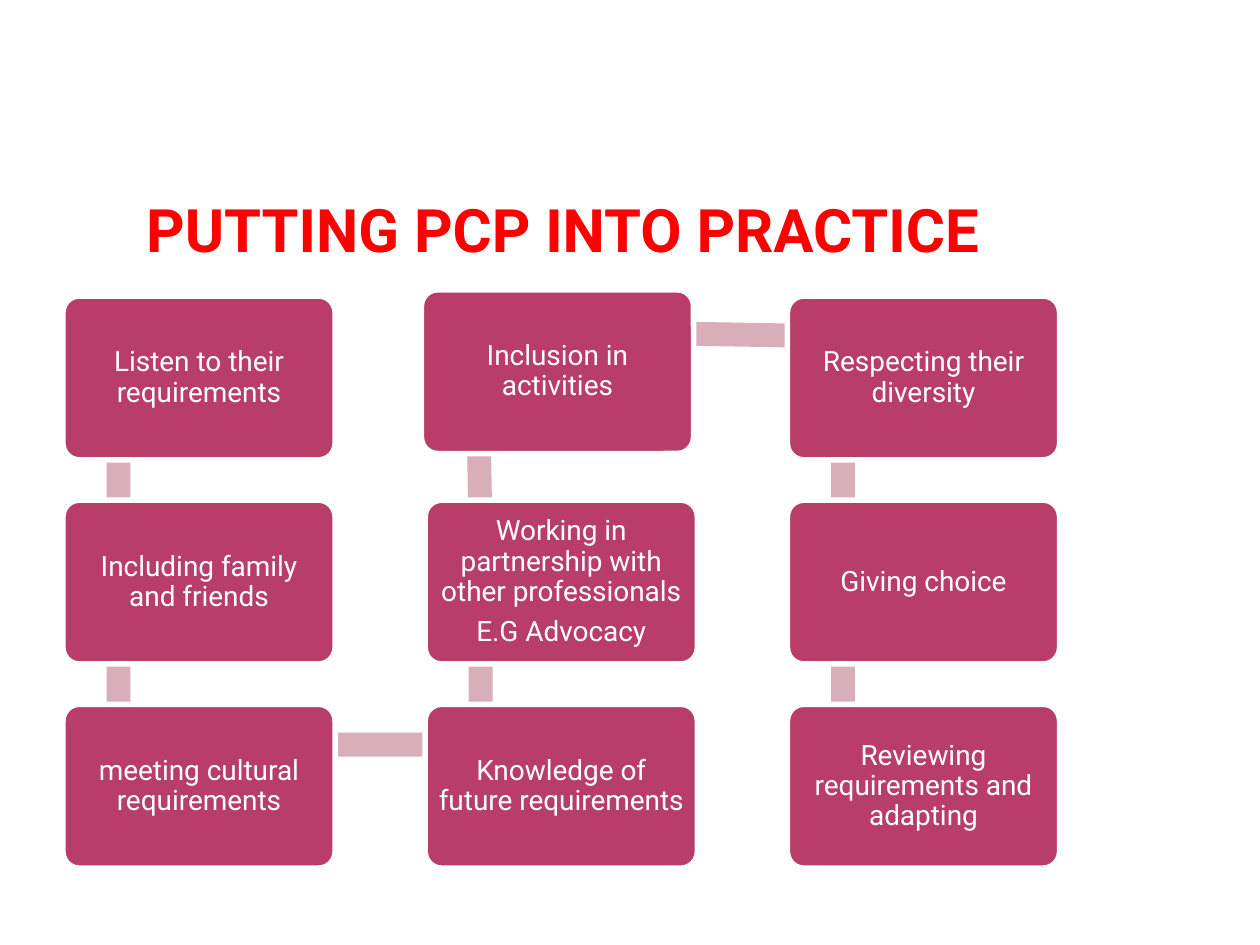
"""Build the slide on putting PCP into practice as a snaking chain of steps."""
import math
from dataclasses import dataclass

from pptx import Presentation, util as u
from pptx.dml.color import RGBColor
from pptx.enum import shapes, text

TITLE = "PUTTING PCP INTO PRACTICE"
STEPS = [
    (0, 0, "Listen to their requirements"),
    (0, 1, "Including family and friends"),
    (0, 2, "meeting cultural requirements"),
    (1, 2, "Knowledge of future requirements"),
    (1, 1, "Working in partnership with other professionals\nE.G Advocacy"),
    (1, 0, "Inclusion in activities"),
    (2, 0, "Respecting their diversity"),
    (2, 1, "Giving choice"),
    (2, 2, "Reviewing requirements and adapting"),
]
NUDGES = {(1, 0): (-0.03, -0.05)}


@dataclass(frozen=True)
class Theme:
    font: str = "Roboto"
    title: str = "FF0000"
    box: str = "B83D68"
    bar: str = "D8AFB9"
    light: str = "FFFFFF"
    title_size: float = 34.2
    step_size: float = 16
    outline: float = 3.15


THEME = Theme()
SLIDE_W, SLIDE_H = 10, 7.5
LEFT, TOP = 0.5, 2.35
COL_STEP, ROW_STEP = 2.875, 1.62
BOX_W, BOX_H = 2.16, 1.3
ANCHOR_X, ANCHOR_Y = 0.44, 0.32
BAR_H = 0.19


def place(col, row):
    dx, dy = NUDGES.get((col, row), (0, 0))
    return LEFT + col * COL_STEP + dx, TOP + row * ROW_STEP + dy


def add_block(s, kind, box, color):
    sp = s.shapes.add_shape(kind, *map(u.Inches, box))
    sp.shadow.inherit = False
    sp.fill.solid()
    sp.fill.fore_color.rgb = RGBColor.from_string(color)
    sp.line.fill.background()
    return sp


def write(sp, words, size, color, margins, anchor, bold=False):
    tf = sp.text_frame
    tf.word_wrap = True
    tf.vertical_anchor = anchor
    tf.margin_left, tf.margin_top, tf.margin_right, tf.margin_bottom = map(u.Inches, margins)
    tf.text = words
    for p in tf.paragraphs:
        p.alignment = text.PP_ALIGN.CENTER
        for r in p.runs:
            r.font.name, r.font.size, r.font.bold = THEME.font, u.Pt(size), bold
            r.font.color.rgb = RGBColor.from_string(color)
    return tf


def add_bar(s, start, end):
    (x1, y1), (x2, y2) = start, end
    length = math.hypot(x2 - x1, y2 - y1)
    mid_x, mid_y = (x1 + x2) / 2 + ANCHOR_X, (y1 + y2) / 2 + ANCHOR_Y
    box = (mid_x - length / 2, mid_y - BAR_H / 2, length, BAR_H)
    sp = add_block(s, shapes.MSO_SHAPE.RECTANGLE, box, THEME.bar)
    sp.rotation = math.degrees(math.atan2(y2 - y1, x2 - x1)) % 360


def add_step(s, corner, words):
    sp = add_block(s, shapes.MSO_SHAPE.ROUNDED_RECTANGLE, (*corner, BOX_W, BOX_H), THEME.box)
    sp.adjustments[0] = 0.1
    sp.line.color.rgb = RGBColor.from_string(THEME.light)
    sp.line.width = u.Pt(THEME.outline)
    tf = write(sp, words, THEME.step_size, THEME.light, (0.06, 0.07, 0.06, 0.07),
               text.MSO_ANCHOR.MIDDLE)
    for p in tf.paragraphs:
        p.line_spacing = 0.9
        p.space_after = u.Pt(0.35 * THEME.step_size)


def main():
    prs = Presentation()
    prs.slide_width, prs.slide_height = u.Inches(SLIDE_W), u.Inches(SLIDE_H)
    s = prs.slides.add_slide(prs.slide_layouts[6])
    title = s.shapes.add_textbox(*map(u.Inches, (LEFT, 1.47, 7.81, 0.63)))
    write(title, TITLE, THEME.title_size, THEME.title, (0.17, 0, 0.05, 0),
          text.MSO_ANCHOR.BOTTOM, bold=True)
    corners = [place(col, row) for col, row, _ in STEPS]
    for i, (corner, (_, _, words)) in enumerate(zip(corners, STEPS)):
        if i + 1 < len(corners):
            add_bar(s, corner, corners[i + 1])
        add_step(s, corner, words)
    prs.save("out.pptx")


if __name__ == "__main__":
    main()
